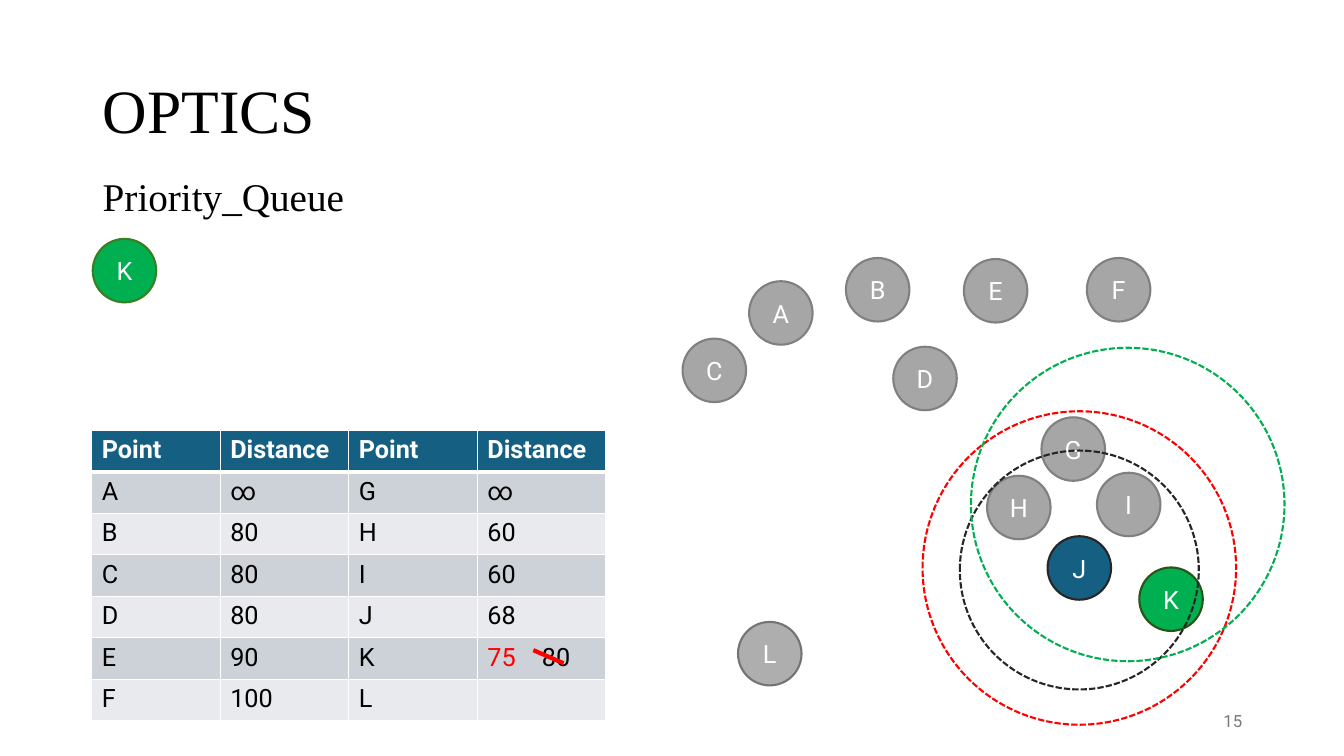
"""Builds the OPTICS priority queue slide."""
from lxml.etree import SubElement
from pptx import Presentation
from pptx.dml.color import RGBColor
from pptx.enum.dml import MSO_LINE
from pptx.enum.shapes import MSO_CONNECTOR as CONNECTOR, MSO_SHAPE as SHAPE
from pptx.enum.text import MSO_ANCHOR as ANCHOR, PP_ALIGN as ALIGN
from pptx.oxml import parse_xml
from pptx.oxml.ns import nsdecls, qn
from pptx.util import Inches, Pt

BLACK = RGBColor(0x00, 0x00, 0x00)
WHITE = RGBColor(0xFF, 0xFF, 0xFF)
RED = RGBColor(0xFF, 0x00, 0x00)
GREEN = RGBColor(0x00, 0xB0, 0x50)
DARK_GREEN = RGBColor(0x27, 0x54, 0x17)
LEAF = RGBColor(0x3B, 0x7D, 0x23)
BLUE = RGBColor(0x15, 0x60, 0x82)
CHARCOAL = RGBColor(0x26, 0x26, 0x26)
GRAY = RGBColor(0xA6, 0xA6, 0xA6)
GRAY_EDGE = RGBColor(0x80, 0x80, 0x80)
NOISE = RGBColor(0xAE, 0xAE, 0xAE)
NOISE_EDGE = RGBColor(0x74, 0x74, 0x74)
PAGE_GRAY = RGBColor(0x79, 0x79, 0x79)
BAND_DARK = RGBColor(0xCC, 0xD2, 0xD8)
BAND_LIGHT = RGBColor(0xE8, 0xEA, 0xED)

SANS, SERIF = "Roboto", "Times New Roman"
DOT = 0.63

VISITED = [("D", 8.86, 3.44), ("E", 9.56, 2.57), ("F", 10.78, 2.56),
           ("H", 9.79, 4.72), ("I", 10.88, 4.69), ("G", 10.33, 4.14),
           ("A", 7.43, 2.79), ("C", 6.77, 3.36), ("B", 8.39, 2.56)]
HIGHLIGHTED = [("J", 10.39, 5.32, BLUE, CHARCOAL),
               ("K", 11.3, 5.63, GREEN, DARK_GREEN),
               ("L", 7.32, 6.17, NOISE, NOISE_EDGE),
               ("K", 0.92, 2.37, GREEN, LEAF)]
RINGS = [(9.52, 4.47, 2.37, CHARCOAL), (9.15, 4.08, 3.11, RED),
         (9.63, 3.45, 3.11, GREEN)]
DISTANCES = [("Point", "Distance", "Point", "Distance"),
             ("A", "∞", "G", "∞"),
             ("B", "80", "H", "60"),
             ("C", "80", "I", "60"),
             ("D", "80", "J", "68"),
             ("E", "90", "K", "75"),
             ("F", "100", "L", "")]


def write(frame, text, size=18, font=SANS, color=BLACK, bold=False,
          align=ALIGN.LEFT, anchor=None, spacing=None):
    """Append a formatted run to the first paragraph of a text frame."""
    frame.word_wrap = True
    if anchor is not None:
        frame.vertical_anchor = anchor
    paragraph = frame.paragraphs[0]
    paragraph.alignment = align
    if spacing:
        paragraph.line_spacing = spacing
    run = paragraph.add_run()
    run.text = text
    run.font.size = Pt(size)
    run.font.name = font
    run.font.bold = bold
    run.font.color.rgb = color


class OpticsSlide:
    """Holds the slide and draws its elements in one style."""

    def __init__(self, slide):
        self.slide = slide
        self.shapes = slide.shapes
        self.outline = Pt(1.5)

    def title(self, text, left, top, width, height):
        """Place and fill the title placeholder."""
        title = self.shapes.title
        title.left, title.top = Inches(left), Inches(top)
        title.width, title.height = Inches(width), Inches(height)
        write(title.text_frame, text, size=44, font=SERIF,
              anchor=ANCHOR.MIDDLE, spacing=0.9)

    def label(self, text, left, top, width, height, **style):
        """Add a text box."""
        box = self.shapes.add_textbox(Inches(left), Inches(top),
                                      Inches(width), Inches(height))
        write(box.text_frame, text, **style)

    def circle(self, left, top, size, edge):
        """Add an unfilled circle with a coloured outline."""
        circle = self.shapes.add_shape(SHAPE.OVAL, Inches(left), Inches(top),
                                       Inches(size), Inches(size))
        circle.shadow.inherit = False
        circle.fill.background()
        circle.line.color.rgb = edge
        circle.line.width = self.outline
        return circle

    def point(self, name, left, top, fill=GRAY, edge=GRAY_EDGE):
        """Add a named data point."""
        point = self.circle(left, top, DOT, edge)
        point.fill.solid()
        point.fill.fore_color.rgb = fill
        write(point.text_frame, name, color=WHITE, align=ALIGN.CENTER,
              anchor=ANCHOR.MIDDLE)

    def ring(self, left, top, size, edge):
        """Add a dashed neighbourhood ring."""
        self.circle(left, top, size, edge).line.dash_style = MSO_LINE.SQUARE_DOT

    def strike(self, x1, y1, x2, y2):
        """Add a thick red strike-through line."""
        strike = self.shapes.add_connector(CONNECTOR.STRAIGHT, Inches(x1),
                                           Inches(y1), Inches(x2), Inches(y2))
        strike.line.color.rgb = RED
        strike.line.width = Pt(3)
        SubElement(strike._element.spPr, qn("a:effectLst"))

    def cell_borders(self, cell, **widths):
        """Give a cell white borders."""
        properties = cell._tc.get_or_add_tcPr()
        for place, side in enumerate("LRTB"):
            width = Pt(widths.get(side, 1))
            properties.insert(place, parse_xml(
                f'<a:ln{side} {nsdecls("a")} w="{width}"><a:solidFill>'
                f'<a:srgbClr val="{WHITE}"/></a:solidFill></a:ln{side}>'))

    def distance_table(self, rows, left, top, width, height):
        """Add the banded distance table and return it."""
        table = self.shapes.add_table(len(rows), len(rows[0]), Inches(left),
                                      Inches(top), Inches(width),
                                      Inches(height)).table
        for r, row in enumerate(rows):
            header = r == 0
            band = BLUE if header else BAND_DARK if r % 2 else BAND_LIGHT
            for c, text in enumerate(row):
                cell = table.cell(r, c)
                cell.fill.solid()
                cell.fill.fore_color.rgb = band
                self.cell_borders(cell, T=3 if r == 1 else 1,
                                  B=3 if header else 1)
                if text:
                    changed = text == "75"
                    color = WHITE if header else RED if changed else BLACK
                    write(cell.text_frame, text, color=color, bold=header)
        return table

    def old_distance(self, cell, text, position):
        """Append a replaced distance at a tab stop."""
        properties = cell.text_frame.paragraphs[0]._p.get_or_add_pPr()
        stops = SubElement(properties, qn("a:tabLst"))
        SubElement(stops, qn("a:tab"), pos=str(Inches(position)), algn="l")
        write(cell.text_frame, "\t" + text)


def main():
    """Build and save the slide."""
    deck = Presentation()
    deck.slide_width, deck.slide_height = Inches(13.33), Inches(7.5)
    optics = OpticsSlide(deck.slides.add_slide(deck.slide_layouts[5]))
    optics.title("OPTICS", 0.92, 0.4, 11.5, 1.45)
    optics.label("15", 9.42, 6.95, 3, 0.4, size=12, color=PAGE_GRAY,
                 align=ALIGN.RIGHT, anchor=ANCHOR.MIDDLE)
    optics.label("Priority_Queue", 0.92, 1.66, 3.05, 0.57, size=28, font=SERIF)
    for point in VISITED + HIGHLIGHTED:
        optics.point(*point)
    distances = optics.distance_table(DISTANCES, 0.91, 4.27, 5.1, 2.88)
    optics.old_distance(distances.cell(5, 3), "80", 0.54)
    for ring in RINGS:
        optics.ring(*ring)
    optics.strike(5.29, 6.45, 5.59, 6.58)
    deck.save("out.pptx")


if __name__ == "__main__":
    main()
